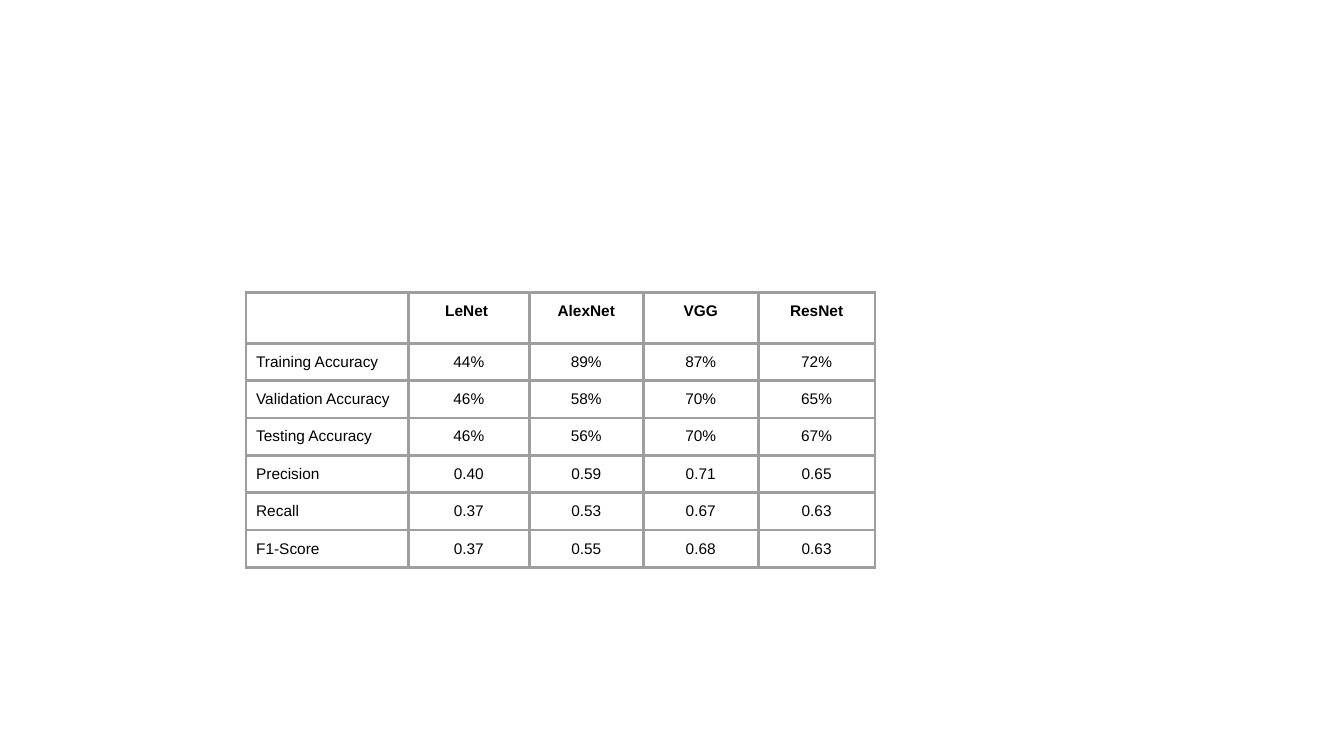
import dataclasses

import pptx
import pptx.dml.color
import pptx.enum.text
import pptx.oxml
import pptx.oxml.ns
import pptx.util

Inches = pptx.util.Inches
Pt = pptx.util.Pt


@dataclasses.dataclass(frozen=True)
class Theme:
    font: str = "Arial"
    text_size: float = 11
    text_color: str = "000000"
    border_color: str = "9E9E9E"
    border_width: float = 2.25
    cell_margin: float = 0.1


THEME = Theme()

RESULTS = [
    ["", "LeNet ", "AlexNet", "VGG", "ResNet"],
    ["Training Accuracy", "44%", "89%", "87%", "72%"],
    ["Validation Accuracy", "46%", "58%", "70%", "65%"],
    ["Testing Accuracy", "46%", "56%", "70%", "67%"],
    ["Precision", "0.40", "0.59", "0.71", "0.65"],
    ["Recall", "0.37", "0.53", "0.67", "0.63"],
    ["F1-Score", "0.37", "0.55", "0.68", "0.63"],
]
COLUMN_WIDTHS = [1.61, 1.2, 1.13, 1.14, 1.16]
HEADER_HEIGHT = 0.48
ROW_HEIGHT = 0.37


def add_borders(cell):
    properties = cell._tc.get_or_add_tcPr()
    for side in ("lnL", "lnR", "lnT", "lnB"):
        properties.append(pptx.oxml.parse_xml(
            f'<a:{side} {pptx.oxml.ns.nsdecls("a")} w="{Pt(THEME.border_width)}">'
            f'<a:solidFill><a:srgbClr val="{THEME.border_color}"/></a:solidFill>'
            f'</a:{side}>'))


def format_cell(cell, text, is_header, is_label):
    # Margins, borders and fill
    margin = Inches(THEME.cell_margin)
    cell.margin_left = cell.margin_right = margin
    cell.margin_top = cell.margin_bottom = margin
    add_borders(cell)
    cell.fill.background()

    # Text
    if not text:
        return
    cell.text_frame.text = text
    paragraph = cell.text_frame.paragraphs[0]
    alignment = pptx.enum.text.PP_ALIGN
    paragraph.alignment = alignment.LEFT if is_label else alignment.CENTER
    font = paragraph.runs[0].font
    font.name = THEME.font
    font.size = Pt(THEME.text_size)
    font.bold = is_header
    font.color.rgb = pptx.dml.color.RGBColor.from_string(THEME.text_color)


def add_results_table(slide, left, top):
    heights = [HEADER_HEIGHT] + [ROW_HEIGHT] * (len(RESULTS) - 1)
    frame = slide.shapes.add_table(
        len(heights), len(COLUMN_WIDTHS), Inches(left), Inches(top),
        Inches(sum(COLUMN_WIDTHS)), Inches(sum(heights)))
    table = frame.table
    table.first_row = False
    table.horz_banding = False

    # Grid
    for column, width in zip(table.columns, COLUMN_WIDTHS):
        column.width = Inches(width)
    for row, height in zip(table.rows, heights):
        row.height = Inches(height)

    # Cells
    for row_index, values in enumerate(RESULTS):
        for column_index, text in enumerate(values):
            format_cell(table.cell(row_index, column_index), text,
                        is_header=row_index == 0, is_label=column_index == 0)


def main():
    presentation = pptx.Presentation()
    presentation.slide_width = Inches(13.33)
    presentation.slide_height = Inches(7.5)
    slide = presentation.slides.add_slide(presentation.slide_layouts[6])
    add_results_table(slide, left=2.44, top=2.9)
    presentation.save("out.pptx")


if __name__ == "__main__":
    main()
